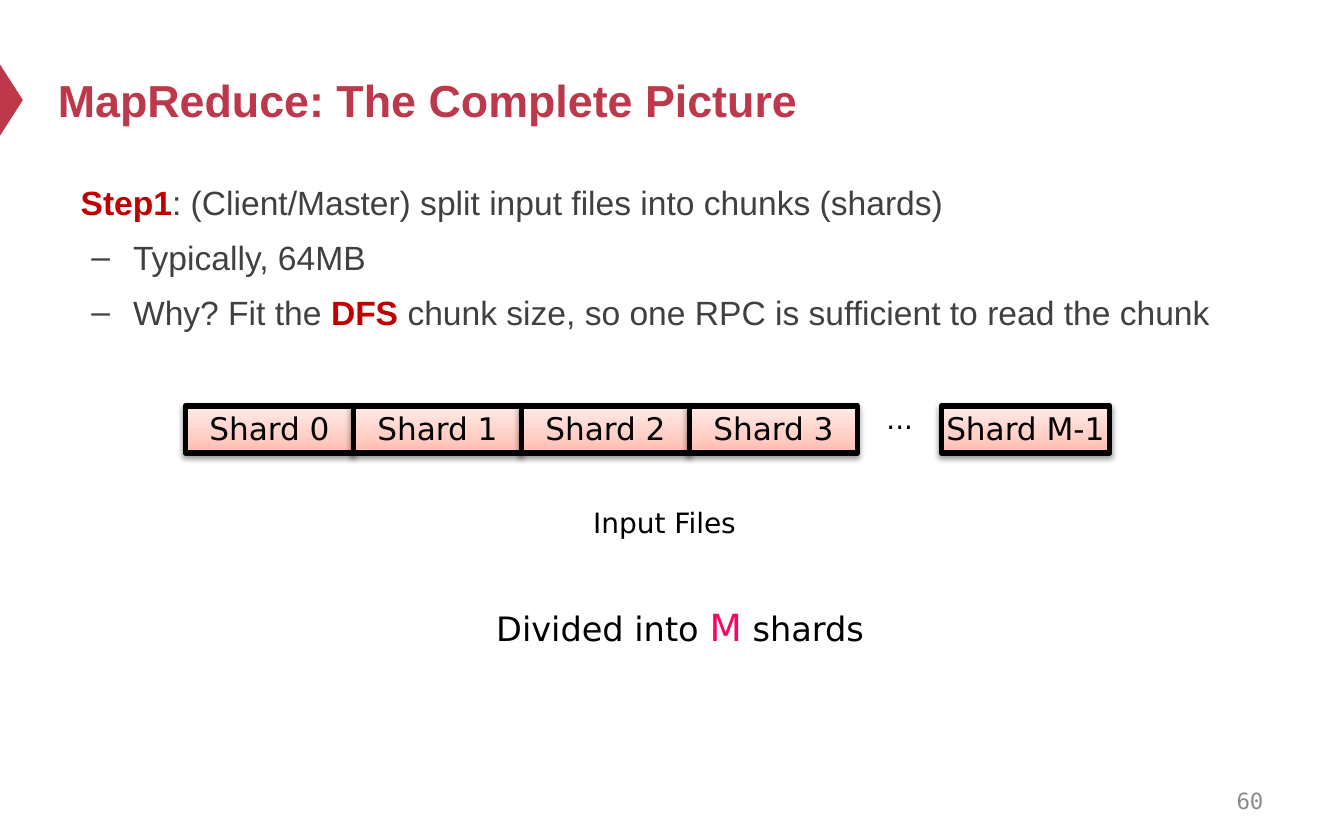
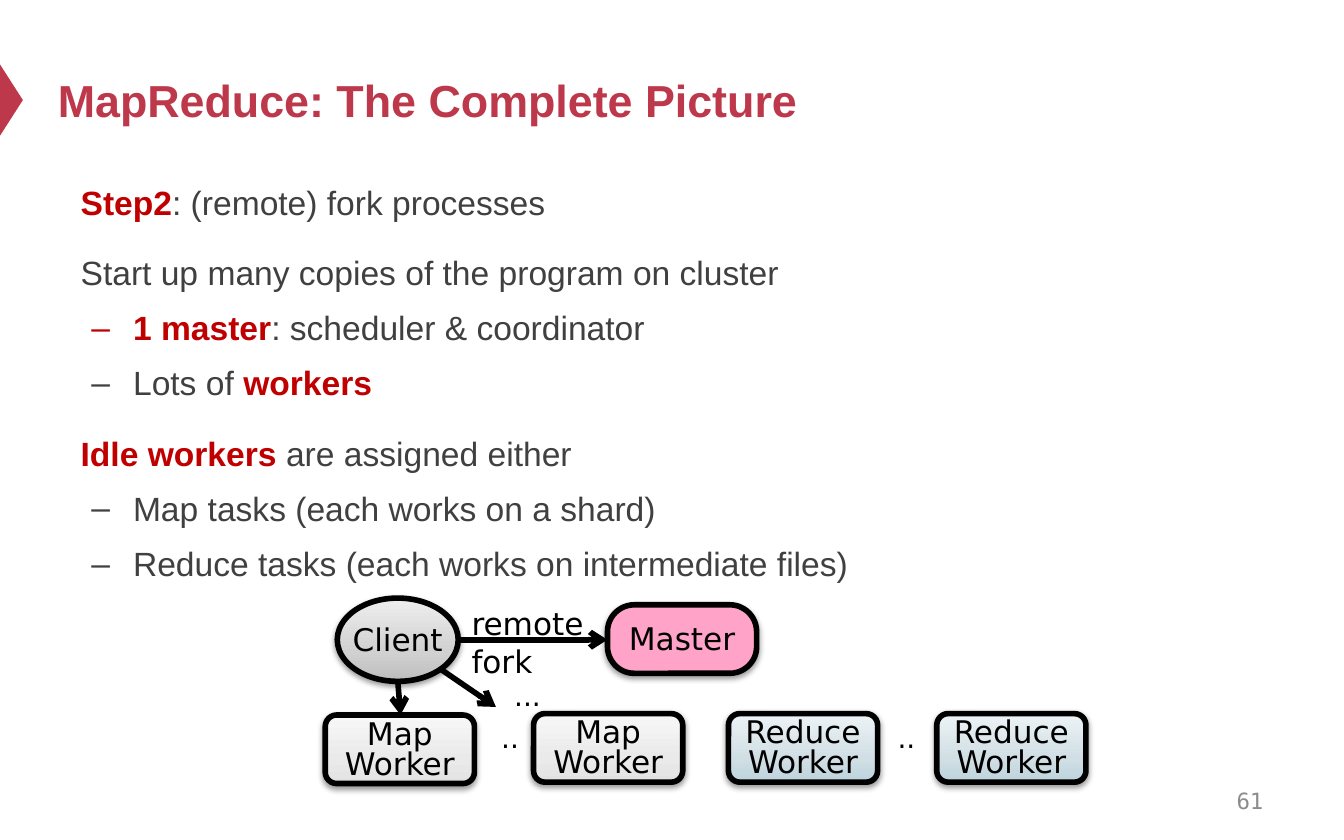
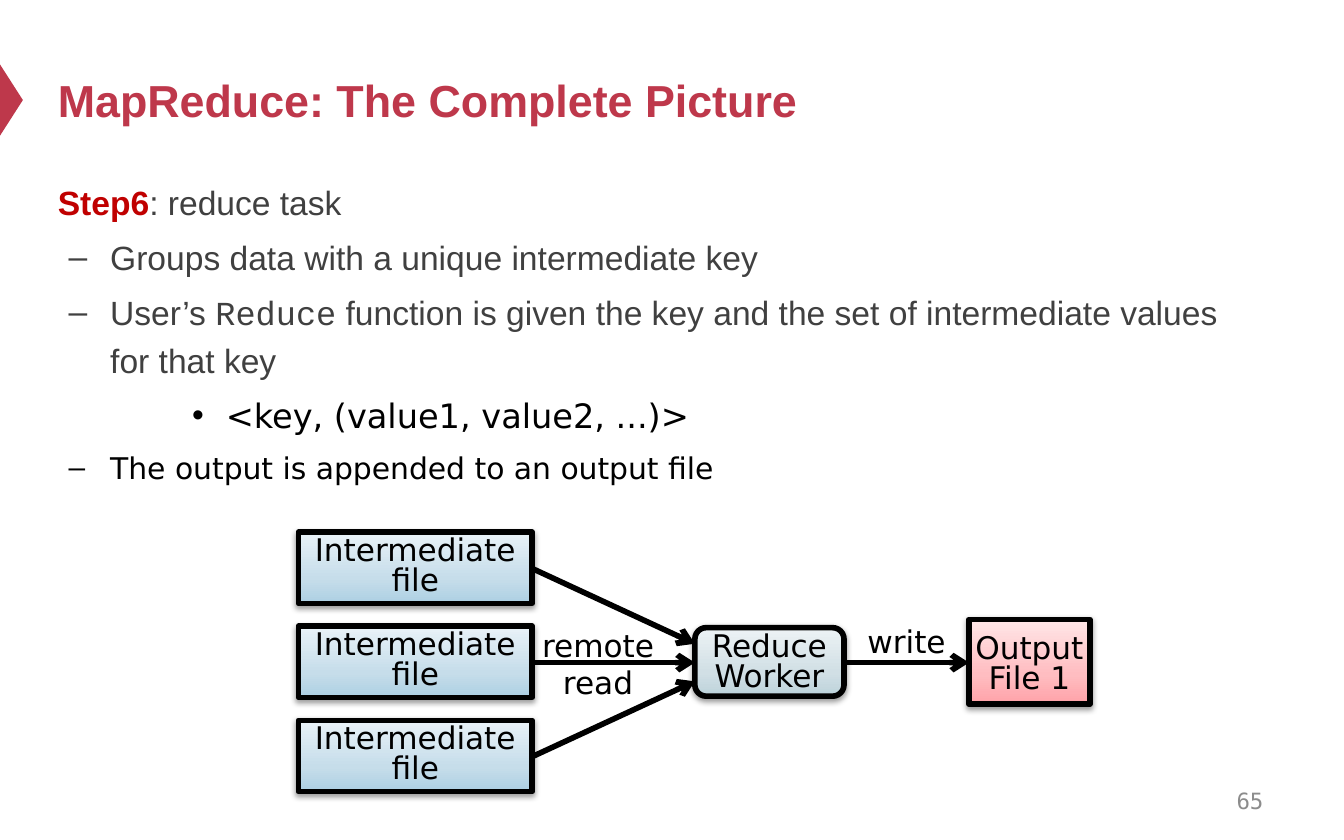
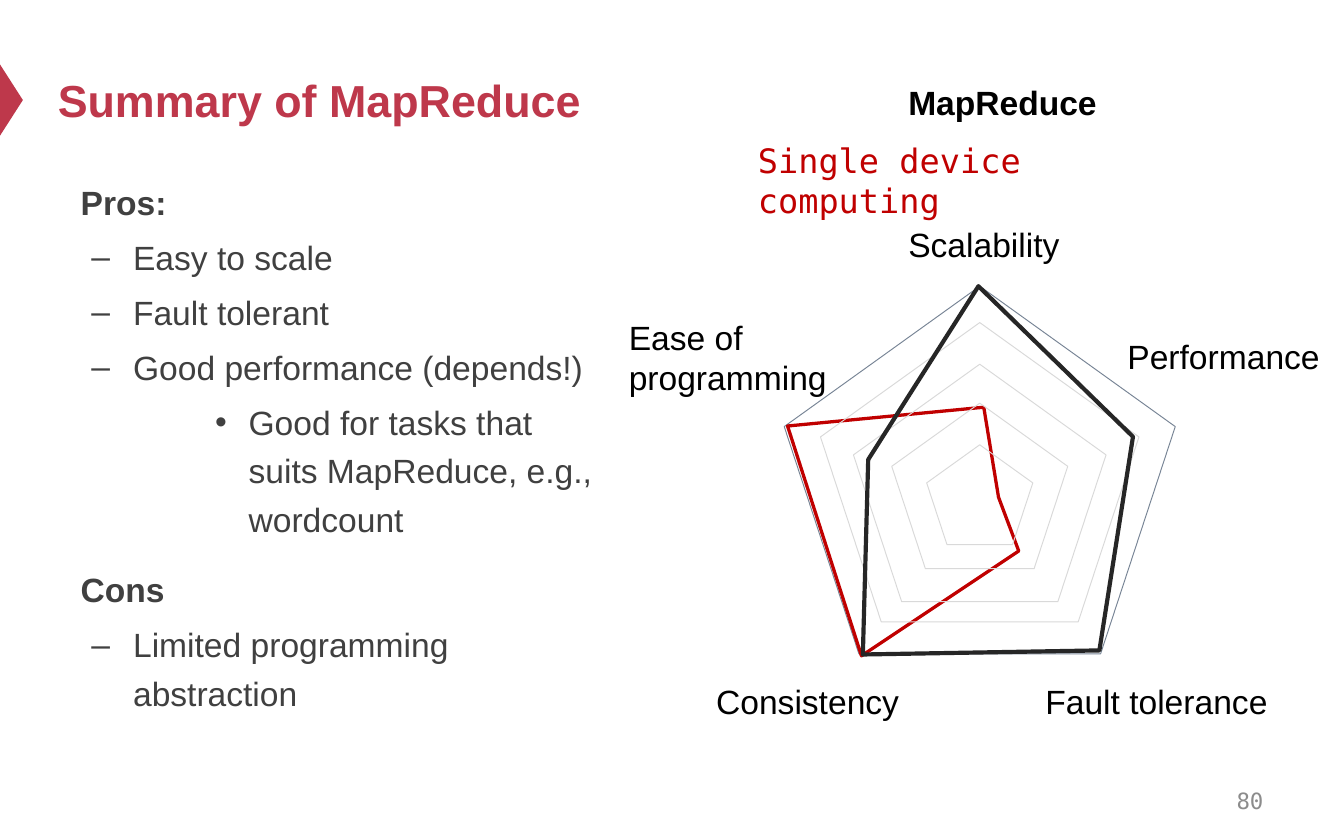
from dataclasses import dataclass
from typing import Any

from lxml import etree
from pptx import Presentation
from pptx.dml.color import RGBColor
from pptx.enum.shapes import MSO_CONNECTOR, MSO_SHAPE
from pptx.enum.text import MSO_ANCHOR, MSO_AUTO_SIZE, PP_ALIGN
from pptx.oxml.ns import qn
from pptx.util import Emu, Inches, Pt

RECT, ROUND, OVAL = MSO_SHAPE.RECTANGLE, MSO_SHAPE.ROUNDED_RECTANGLE, MSO_SHAPE.OVAL
WEDGE, PENTA = MSO_SHAPE.ISOSCELES_TRIANGLE, MSO_SHAPE.REGULAR_PENTAGON
LINE = MSO_CONNECTOR.STRAIGHT
LEFT, MID, RIGHT = PP_ALIGN.LEFT, PP_ALIGN.CENTER, PP_ALIGN.RIGHT
TOP, CENTER = MSO_ANCHOR.TOP, MSO_ANCHOR.MIDDLE
FIXED, GROW = MSO_AUTO_SIZE.NONE, MSO_AUTO_SIZE.SHAPE_TO_FIT_TEXT

WIDE, HIGH = Inches(10), Inches(6.25)
CELL = WIDE / 100

ROSE, RED, PINK = "BE384B", "C00000", "FF0066"
BLACK, INK, GRAY, MUTE = "000000", "262626", "404040", "8C8C8C"
SLATE, PALE = "778495", "D9D9D9"
PEACH = ("FFBBAE", "FFCEC5", "FFECE9")
CLOUD = ("E2E2E2", "EAEAEA", "F7F7F7")
STEEL = ("BDD3DB", "D1DFE5", "EDF3F5")
STONE = ("BDBDBD", "D1D1D1", "EEEEEE")
SKY = ("ADD0E3", "C6DDEA", "E9F2F8")
CORAL = ("FFA2A8", "FFBDC1", "FFE6E7")
STOPS = (0, 35, 100)

SANS, CODE, PLAIN, MONO = "Arial", "Courier New", "DejaVu Sans", "DejaVu Sans Mono"
MARKS = {0: None, 1: "–", 2: "•"}
DENTS = {0: (0, 0), 1: (0.39, -0.31), 2: (1.25, -0.25)}
LEADS = {0: 12, 1: 3.6, 2: 3.6}

Area = tuple[float, float, float, float]
Point = tuple[float, float]


@dataclass(frozen=True)
class Bit:
    """A run of text with its look."""
    text: str
    color: str = GRAY
    bold: bool = False
    size: float = 18
    face: str = SANS


@dataclass(frozen=True)
class Item:
    """A body paragraph at a list level."""
    bits: tuple[Bit, ...]
    level: int = 0


@dataclass(frozen=True)
class Node:
    """A box of a diagram, placed in grid cells."""
    text: str
    area: Area
    fill: str | tuple[str, ...]
    form: Any = RECT
    pad: Area = (0.1, 0.05, 0.1, 0.05)
    lead: float = 1
    wrap: bool = False
    curve: float | None = None


@dataclass(frozen=True)
class Label:
    """Free text, placed in grid cells."""
    bits: tuple[Bit, ...]
    area: Area
    align: Any = MID
    wrap: bool = False


def span(cells: float) -> Emu:
    """Turn grid cells into a length."""
    return Emu(round(cells * CELL))


def spans(cells: tuple[float, ...]) -> list[Emu]:
    """Turn several cell counts into lengths."""
    return [span(cell) for cell in cells]


def tint(code: str) -> RGBColor:
    """Turn a hex string into a colour."""
    return RGBColor.from_string(code)


def style(thing: Any, **looks: Any) -> None:
    """Set each given attribute."""
    for name, value in looks.items():
        setattr(thing, name, value)


def add(root: Any, tag: str, **values: Any) -> Any:
    """Append an XML element."""
    return etree.SubElement(root, qn(tag), {k: str(v) for k, v in values.items()})


def strong(text: str) -> Bit:
    """Make a bold red run."""
    return Bit(text, RED, True)


def plain(text: str, size: float = 16.7, color: str = BLACK) -> Bit:
    """Make a diagram run."""
    return Bit(text, color, size=size, face=PLAIN)


def item(level: int, *parts: str | Bit) -> Item:
    """Make a body paragraph from strings and runs."""
    return Item(tuple(Bit(p) if isinstance(p, str) else p for p in parts), level)


def write(para: Any, bits: tuple[Bit, ...], **looks: Any) -> None:
    """Fill a paragraph with styled runs."""
    style(para, space_before=Pt(0), **looks)
    for bit in bits:
        for row, text in enumerate(bit.text.split("\n")):
            if row:
                para.add_line_break()
            run = para.add_run()
            run.text = text
            style(run.font, name=bit.face, size=Pt(bit.size), bold=bit.bold)
            run.font.color.rgb = tint(bit.color)


def place(shape: Any, area: Area) -> None:
    """Move a shape to an area."""
    style(shape, **dict(zip(("left", "top", "width", "height"), spans(area))))


def stroke(shape: Any, color: str, width: float) -> None:
    """Draw the line of a shape."""
    shape.line.color.rgb = tint(color)
    shape.line.width = Pt(width)


def shade(shape: Any, fill: str | tuple[str, ...]) -> None:
    """Fill a shape with a colour or an upward blend."""
    if isinstance(fill, str):
        shape.fill.solid()
        shape.fill.fore_color.rgb = tint(fill)
        return
    shape.fill.gradient()
    shape.fill.gradient_angle = 90
    stops = shape.element.spPr.find(".//" + qn("a:gsLst"))
    for old in list(stops):
        stops.remove(old)
    for stop, code in zip(STOPS, fill):
        add(add(stops, "a:gs", pos=stop * 1000), "a:srgbClr", val=code)


def lift(shape: Any) -> None:
    """Give a shape a soft shadow below."""
    shape.shadow.inherit = False
    root = shape.element.spPr.find(qn("a:effectLst"))
    drop = add(root, "a:outerShdw", blurRad=Pt(3.1), dist=Pt(1.6), dir=5400000, rotWithShape=0)
    add(add(drop, "a:srgbClr", val=BLACK), "a:alpha", val=38000)


def draw(slide: Any, node: Node) -> None:
    """Draw a diagram box."""
    shape = slide.shapes.add_shape(node.form, *spans(node.area))
    if node.curve is not None:
        shape.adjustments[0] = node.curve
    shade(shape, node.fill)
    stroke(shape, BLACK, 3)
    lift(shape)
    frame = shape.text_frame
    sides = ("margin_left", "margin_top", "margin_right", "margin_bottom")
    style(frame, word_wrap=node.wrap, vertical_anchor=CENTER,
          **dict(zip(sides, map(Inches, node.pad))))
    write(frame.paragraphs[0], (plain(node.text),), alignment=MID, line_spacing=node.lead)


def put(slide: Any, label: Label, **looks: Any) -> None:
    """Write free text."""
    frame = slide.shapes.add_textbox(*spans(label.area)).text_frame
    style(frame, **{"word_wrap": label.wrap, "auto_size": GROW, **looks})
    write(frame.paragraphs[0], label.bits, alignment=label.align)


def arrow(slide: Any, start: Point, end: Point) -> None:
    """Draw a black arrow."""
    link = slide.shapes.add_connector(LINE, *spans(start + end))
    stroke(link, BLACK, 3)
    root = link.element.spPr
    add(root.find(qn("a:ln")), "a:tailEnd", type="arrow")
    add(root, "a:effectLst")


def trace(slide: Any, points: list[Point], color: str, width: float) -> None:
    """Draw a closed outline."""
    first, *rest = [tuple(spans(point)) for point in points]
    pen = slide.shapes.build_freeform(*first)
    pen.add_line_segments(rest, close=True)
    hollow(pen.convert_to_shape(), color, width)


def hollow(shape: Any, color: str, width: float) -> None:
    """Leave a shape with its line only."""
    shape.fill.background()
    stroke(shape, color, width)
    shape.shadow.inherit = False


def fill_body(body: Any, items: list[Item]) -> None:
    """Write the list of a slide."""
    frame = body.text_frame
    style(frame, auto_size=FIXED, vertical_anchor=TOP, word_wrap=True)
    for row, entry in enumerate(items):
        para = frame.add_paragraph() if row else frame.paragraphs[0]
        para.level = entry.level
        props = para._p.get_or_add_pPr()
        for name, dent in zip(("marL", "indent"), DENTS[entry.level]):
            props.set(name, str(Inches(dent)))
        mark = MARKS[entry.level]
        if mark:
            add(props, "a:buChar", char=mark)
        else:
            add(props, "a:buNone")
        write(para, entry.bits, alignment=LEFT, line_spacing=1.2)
        if row:
            para.space_before = Pt(LEADS[entry.level])


def start(deck: Any, title: str, number: int, area: Area, items: list[Item]) -> Any:
    """Add a slide with title, list and number."""
    slide = deck.slides.add_slide(deck.slide_layouts[1])
    head, body = slide.placeholders
    place(head, (3.3, 2.5, 90, 9.8))
    style(head.text_frame, auto_size=FIXED, vertical_anchor=CENTER, word_wrap=True)
    write(head.text_frame.paragraphs[0], (Bit(title, ROSE, True, 24),), alignment=LEFT)
    place(body, area)
    fill_body(body, items)
    page = Label((Bit(str(number), MUTE, size=12, face=MONO),), (71.7, 57.9, 23.3, 3.3), RIGHT, True)
    put(slide, page, auto_size=FIXED, vertical_anchor=CENTER)
    return slide


def brand(slide: Any) -> None:
    """Put the edge marker on the shared layout."""
    mark = slide.shapes.add_shape(WEDGE, *spans((-1.8, 6.6, 5.3, 1.7)))
    mark.rotation = 90
    shade(mark, ROSE)
    mark.line.fill.background()
    mark.shadow.inherit = False
    slide.slide_layout.shapes._spTree.append(mark.element)


def dots(text: str, area: Area) -> Label:
    """Make small centred diagram text."""
    return Label((plain(text, 15),), area, wrap=True)


def worker(kind: str, left: float, top: float) -> Node:
    """Make a worker box."""
    fill = CLOUD if kind == "Map" else STEEL
    return Node(f"{kind}\nWorker", (left, top, 11.1, 5.1), fill, ROUND, (0.08, 0.03, 0.08, 0), 0.8)


def split_step(deck: Any) -> None:
    """Build the slide on shards."""
    slide = start(deck, "MapReduce: The Complete Picture", 60, (5, 12.4, 90, 29.1), [
        item(0, strong("Step1"), ": (Client/Master) split input files into chunks (shards)"),
        item(1, "Typically, 64MB"),
        item(1, "Why? Fit the ", strong("DFS"),
             " chunk size, so one RPC is sufficient to read the chunk"),
    ])
    brand(slide)
    for slot, name in ((0, "0"), (1, "1"), (2, "2"), (3, "3"), (4.5, "M-1")):
        area = (13.8 + 12.5 * slot, 30.2, 12.5, 3.5)
        draw(slide, Node(f"Shard {name}", area, PEACH, pad=(0.1, 0.03, 0.1, 0.05)))
    total = (plain("Divided into ", 18), plain("M", 20, PINK), plain(" shards", 18))
    for label in (
        dots("Input Files", (38.7, 37.1, 21.5, 3.5)),
        dots("...", (63.2, 29.4, 7.5, 3.5)),
        Label(total, (32.7, 44.5, 35.8, 4.4), wrap=True),
    ):
        put(slide, label)


def fork_step(deck: Any) -> None:
    """Build the slide on forking."""
    slide = start(deck, "MapReduce: The Complete Picture", 61, (5, 12.4, 90, 33.4), [
        item(0, strong("Step2"), ": (remote) fork processes"),
        item(0, "Start up many copies of the program on cluster"),
        item(1, strong("1 master"), ": scheduler & coordinator"),
        item(1, "Lots of ", strong("workers")),
        item(0, strong("Idle workers "), "are assigned either"),
        item(1, "Map tasks (each works on a shard)"),
        item(1, "Reduce tasks (each works on intermediate files)"),
    ])
    pad = (0.08, 0.03, 0.08, 0.04)
    for node in (
        worker("Map", 24.2, 53.2),
        worker("Map", 39.7, 53.1),
        worker("Reduce", 54.2, 53.1),
        worker("Reduce", 69.7, 53.1),
        Node("Client", (25.1, 44.5, 9, 6.2), STONE, OVAL, pad),
        Node("Master", (45.2, 45, 11.1, 5.1), "FFA3C8", ROUND, pad, curve=0.39),
    ):
        draw(slide, node)
    arrow(slide, (34.1, 47.6), (45.2, 47.6))
    arrow(slide, (29.6, 50.7), (29.8, 53.2))
    arrow(slide, (32.8, 49.8), (36.9, 52.6))
    for label in (
        Label((plain("remote \nfork"),), (34.1, 44.5, 11.2, 6.6), LEFT),
        dots("...", (35.5, 50, 7.5, 3.5)),
        dots("..", (34.2, 53.1, 7.5, 3.5)),
        dots("..", (65.3, 53.1, 4.3, 3.5)),
    ):
        put(slide, label)


def reduce_step(deck: Any) -> None:
    """Build the slide on the reduce task."""
    slide = start(deck, "MapReduce: The Complete Picture", 65, (3.3, 12.4, 90, 41.2), [
        item(0, strong("Step6"), ": reduce task"),
        item(1, "Groups data with a unique intermediate key"),
        item(1, "User’s ", Bit("Reduce", face=CODE),
             " function is given the key and the set of intermediate values for that key"),
        item(2, plain("<key, (value1, value2, ...)>", 18)),
        item(1, plain("The output is appended to an output file", 16)),
    ])
    for row in range(3):
        top = 39.6 + 7 * row
        draw(slide, Node("Intermediate file", (22.2, top, 17.4, 5.3), SKY, lead=0.8, wrap=True))
        arrow(slide, (39.6, top + 2.7), (51.7, 47.9 + 1.4 * row))
    draw(slide, worker("Reduce", 51.7, 46.7))
    draw(slide, Node("Output\nFile 1", (72.1, 46.1, 9, 6.3), CORAL, pad=(0.1, 0.05, 0.1, 0), lead=0.8))
    arrow(slide, (62.8, 49.3), (72.1, 49.3))
    put(slide, Label((plain("remote\nread"),), (39.3, 46.1, 10.4, 6.6)))
    put(slide, Label((plain("write"),), (63.5, 45.8, 7.9, 3.8)))


def summary(deck: Any) -> None:
    """Build the slide of pros and cons."""
    slide = start(deck, "Summary of MapReduce", 80, (5, 12.4, 40.4, 45.6), [
        item(0, Bit("Pros:", bold=True)),
        item(1, "Easy to scale"),
        item(1, "Fault tolerant"),
        item(1, "Good performance (depends!)"),
        item(2, "Good for tasks that suits MapReduce, e.g., wordcount"),
        item(0, Bit("Cons", bold=True)),
        item(1, "Limited programming abstraction"),
    ])
    for text, area in (
        ("Scalability", (66.6, 16.2, 13.4, 4)),
        ("Consistency", (52.3, 50.2, 15.8, 4)),
        ("Fault tolerance", (76.8, 50.2, 19.4, 4)),
        ("Ease of\nprogramming", (45.8, 23.1, 16.9, 7.1)),
        ("Performance", (82.9, 24.5, 16.5, 4)),
    ):
        put(slide, Label((Bit(text, BLACK),), area, LEFT))
    outer, *inner = (29.1, 21.3), (23.7, 24), (18.8, 27.1), (13.1, 30), (7.9, 33.1)

    def ring(size: float, top: float, color: str) -> None:
        """Draw one pentagon of the web."""
        area = (72.9 - size / 2, top, size, size * 0.94)
        hollow(slide.shapes.add_shape(PENTA, *spans(area)), color, 0.5)

    ring(*outer, SLATE)
    trace(slide, [(58.6, 31.7), (73.2, 30.3), (74.3, 37), (75.8, 41), (64.1, 48.8)], RED, 1.75)
    for size, top in inner:
        ring(size, top, PALE)
    trace(slide, [(64.6, 34.2), (72.8, 21.3), (84.3, 32.5), (81.8, 48.4), (64.2, 48.7),
                  (64.4, 41.5)], INK, 2.25)
    single = Bit("Single device computing", RED, face=MONO)
    put(slide, Label((single,), (55.4, 9.9, 33.9, 4), LEFT, True))
    put(slide, Label((Bit("MapReduce", BLACK, True),), (66.6, 5.6, 16.9, 4), LEFT))


def main() -> None:
    """Build and save the deck."""
    deck = Presentation()
    style(deck, slide_width=WIDE, slide_height=HIGH)
    for build in (split_step, fork_step, reduce_step, summary):
        build(deck)
    deck.save("out.pptx")


if __name__ == "__main__":
    main()
